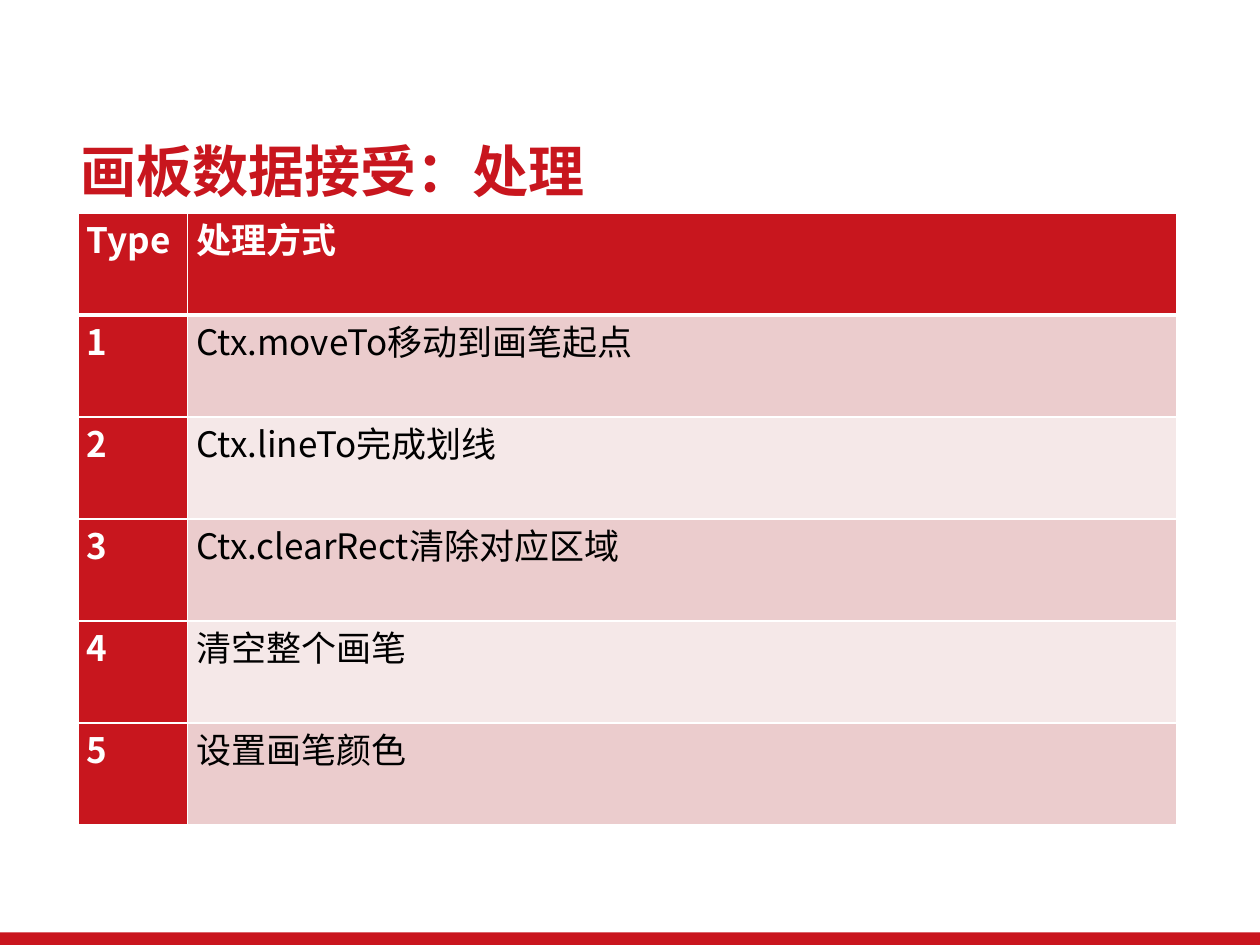
from lxml.etree import SubElement
from pptx import Presentation
from pptx.dml.color import RGBColor
from pptx.enum.shapes import MSO_SHAPE as Shape
from pptx.enum.text import MSO_ANCHOR as Anchor, PP_ALIGN as Align
from pptx.oxml.ns import qn
from pptx.util import Inches, Pt

COLORS = {
    "red": "C8161E", "footer": "C9151E", "white": "FFFFFF",
    "black": "000000", "odd": "EBCCCD", "even": "F5E8E8",
}
FONT = "Noto Sans CJK SC"
ROWS = [
    ("Type", "处理方式"),
    ("1", "Ctx.moveTo移动到画笔起点"),
    ("2", "Ctx.lineTo完成划线"),
    ("3", "Ctx.clearRect清除对应区域"),
    ("4", "清空整个画笔"),
    ("5", "设置画笔颜色"),
]
COLUMN_WIDTHS = (0.87, 7.85)
ROW_HEIGHT = 0.81
CELL_FORMAT = {
    "margin_left": Inches(0.07), "margin_right": Inches(0.07),
    "margin_top": 0, "margin_bottom": 0, "vertical_anchor": Anchor.TOP,
}


def write(frame, text, size, color, bold):
    """Put one run of text in the frame, in the same face for Latin and Chinese."""
    run = frame.paragraphs[0].add_run()
    run.text = text
    for key, value in {"size": Pt(size), "bold": bold, "name": FONT}.items():
        setattr(run.font, key, value)
    run.font.color.rgb = RGBColor.from_string(COLORS[color])
    SubElement(run.font._element, qn("a:ea"), typeface=FONT)


def add_border(cell, side, points):
    line = SubElement(cell._tc.get_or_add_tcPr(), qn(f"a:ln{side}"), w=str(Pt(points)))
    fill = SubElement(line, qn("a:solidFill"))
    SubElement(fill, qn("a:srgbClr"), val=COLORS["white"])


prs = Presentation()
prs.slide_width, prs.slide_height = Inches(10), Inches(7.5)
slide = prs.slides.add_slide(prs.slide_layouts[6])

footer = slide.shapes.add_shape(
    Shape.RECTANGLE, 0, Inches(7.4), prs.slide_width, Inches(0.1))
footer.shadow.inherit = False
footer.fill.solid()
footer.fill.fore_color.rgb = RGBColor.from_string(COLORS["footer"])
footer.line.fill.background()

handling = slide.shapes.add_table(
    len(ROWS), len(COLUMN_WIDTHS), Inches(0.62), Inches(1.69),
    Inches(sum(COLUMN_WIDTHS)), Inches(ROW_HEIGHT * len(ROWS))).table
for column, width in zip(handling.columns, COLUMN_WIDTHS):
    column.width = Inches(width)

for r, texts in enumerate(ROWS):
    handling.rows[r].height = Inches(ROW_HEIGHT)
    for c, text in enumerate(texts):
        cell = handling.cell(r, c)
        heading = r == 0 or c == 0
        for key, value in CELL_FORMAT.items():
            setattr(cell, key, value)
        for side in "LRTB":
            under_header = (r, side) in ((0, "B"), (1, "T"))
            add_border(cell, side, 3 if under_header else 1)
        band = "odd" if r % 2 else "even"
        cell.fill.solid()
        cell.fill.fore_color.rgb = RGBColor.from_string(COLORS["red" if heading else band])
        cell.text_frame.paragraphs[0].alignment = Align.JUSTIFY
        write(cell.text_frame, text, 20, "white" if heading else "black", heading)

title = slide.shapes.add_textbox(
    Inches(0.54), Inches(1.07), Inches(9.16), Inches(0.63)).text_frame
title.word_wrap = True
title.vertical_anchor = Anchor.MIDDLE
title.paragraphs[0].line_spacing = 0.9
write(title, "画板数据接受：处理", 32, "red", True)

prs.save("out.pptx")
